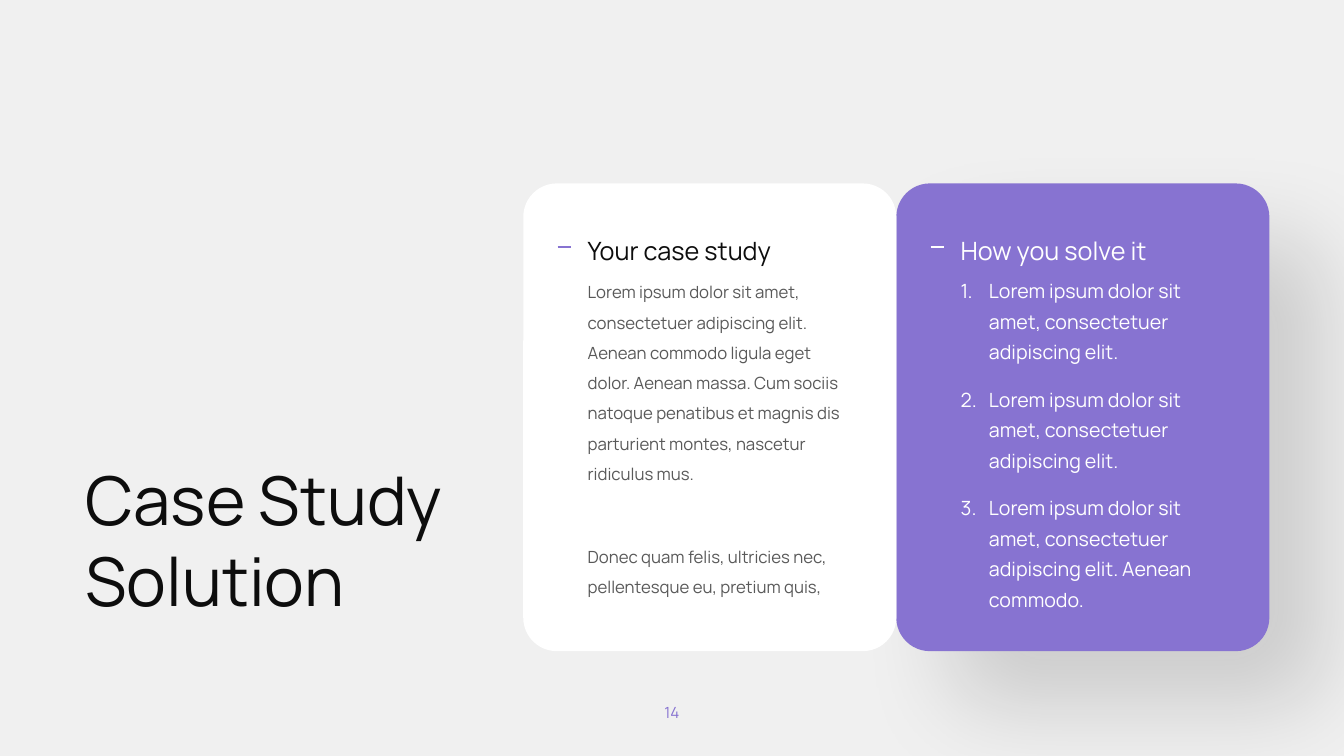
from lxml import etree
from pptx import Presentation
from pptx.dml.color import RGBColor
from pptx.enum.shapes import MSO_CONNECTOR as CONN, MSO_SHAPE as SHAPE
from pptx.enum.text import MSO_ANCHOR as ANCHOR, MSO_AUTO_SIZE as AUTOSIZE, PP_ALIGN as ALIGN
from pptx.oxml.ns import qn
from pptx.util import Inches, Pt

PURPLE, WHITE, INK, GREY, PAPER = "8773D1", "FFFFFF", "0D0D0D", "595959", "F0F0F0"


def rgb(value):
    return RGBColor.from_string(value)


def sub(parent, tag, **attrs):
    return etree.SubElement(parent, qn(tag), {k: str(v) for k, v in attrs.items()})


def write(p, text, font="Manrope", size=12, color=INK, align=None, spacing=None,
          before=None, number_indent=None):
    p.alignment, p.line_spacing = align, spacing
    if before is not None:
        p.space_before = Pt(before)
    if number_indent:
        pPr = p._p.get_or_add_pPr()
        pPr.set("marL", str(Inches(number_indent)))
        pPr.set("indent", str(-Inches(number_indent)))
        sub(pPr, "a:buFont", typeface="+mj-lt")
        sub(pPr, "a:buAutoNum", type="arabicPeriod")
    r = p.add_run()
    r.text = text
    r.font.name, r.font.size = font, Pt(size)
    r.font.color.rgb = rgb(color)


class Deck:
    font = "Manrope"

    def __init__(self):
        self.prs = Presentation()
        self.prs.slide_width, self.prs.slide_height = Inches(13.33), Inches(7.5)
        self.s = self.prs.slides.add_slide(self.prs.slide_layouts[6])
        self.s.background.fill.solid()
        self.s.background.fill.fore_color.rgb = rgb(PAPER)

    def text(self, x, y, w, h, paragraphs, anchor=ANCHOR.TOP, **style):
        """Each paragraph is a string or a (string, extra format) pair."""
        tf = self.s.shapes.add_textbox(Inches(x), Inches(y), Inches(w), Inches(h)).text_frame
        tf.word_wrap, tf.auto_size = True, AUTOSIZE.SHAPE_TO_FIT_TEXT
        tf.vertical_anchor = anchor
        for i, item in enumerate(paragraphs):
            text, extra = (item, {}) if isinstance(item, str) else item
            p = tf.add_paragraph() if i else tf.paragraphs[0]
            write(p, text, **{"font": self.font, **style, **extra})

    def panel(self, x, y, w, h, fill, shadow=False):
        sp = self.s.shapes.add_shape(SHAPE.ROUNDED_RECTANGLE,
                                     Inches(x), Inches(y), Inches(w), Inches(h))
        sp.adjustments[0] = 0.09
        sp.shadow.inherit = False
        sp.fill.solid()
        sp.fill.fore_color.rgb = rgb(fill)
        sp.line.fill.background()
        if shadow:
            effects = sp._element.spPr.find(qn("a:effectLst"))
            outer = sub(effects, "a:outerShdw", blurRad=Pt(68), dist=Pt(55),
                        dir=45 * 60000, algn="tl", rotWithShape=0)
            sub(sub(outer, "a:srgbClr", val="000000"), "a:alpha", val=15000)

    def dash(self, x, y, length, color):
        line = self.s.shapes.add_connector(CONN.STRAIGHT, Inches(x), Inches(y),
                                           Inches(x + length), Inches(y))
        line.line.color.rgb, line.line.width = rgb(color), Pt(1.5)
        sub(line._element.spPr, "a:effectLst")

    def card(self, x, fill, accent, heading, heading_color, body, shadow=False, **style):
        self.panel(x, 1.82, 3.7, 4.64, fill, shadow)
        self.text(x + 0.54, 2.2, 2.81, 0.46, [heading],
                  size=18, color=heading_color, spacing=1.3)
        self.text(x + 0.54, 2.65, 2.81, 3.4, body, **style)
        self.dash(x + 0.34, 2.45, 0.13, accent)


def main():
    deck = Deck()

    # Page number
    deck.text(6.2, 6.92, 0.93, 0.29, ["14"], anchor=ANCHOR.MIDDLE,
              size=11, color=PURPLE, align=ALIGN.CENTER)

    # Solution card with numbered steps
    step = "Lorem ipsum dolor sit amet, consectetuer adipiscing elit."
    deck.card(8.89, PURPLE, WHITE, "How you solve it", WHITE,
              [step, step, step + " Aenean commodo."], shadow=True,
              size=14, color=WHITE, spacing=1.3, before=12, number_indent=0.28)

    # Case study card, with a wide gap before its closing paragraph
    story = ("Lorem ipsum dolor sit amet, consectetuer adipiscing elit. Aenean commodo "
             "ligula eget dolor. Aenean massa. Cum sociis natoque penatibus et magnis "
             "dis parturient montes, nascetur ridiculus mus.")
    closing = "Donec quam felis, ultricies nec, pellentesque eu, pretium quis,"
    deck.card(5.19, WHITE, PURPLE, "Your case study", INK,
              [story, (closing, {"before": 37.6})],
              size=12, color=GREY, spacing=1.5, before=8)

    # Title
    deck.text(0.75, 4.5, 4.18, 1.72, ["Case Study Solution"], size=48)

    deck.prs.save("out.pptx")


if __name__ == "__main__":
    main()
